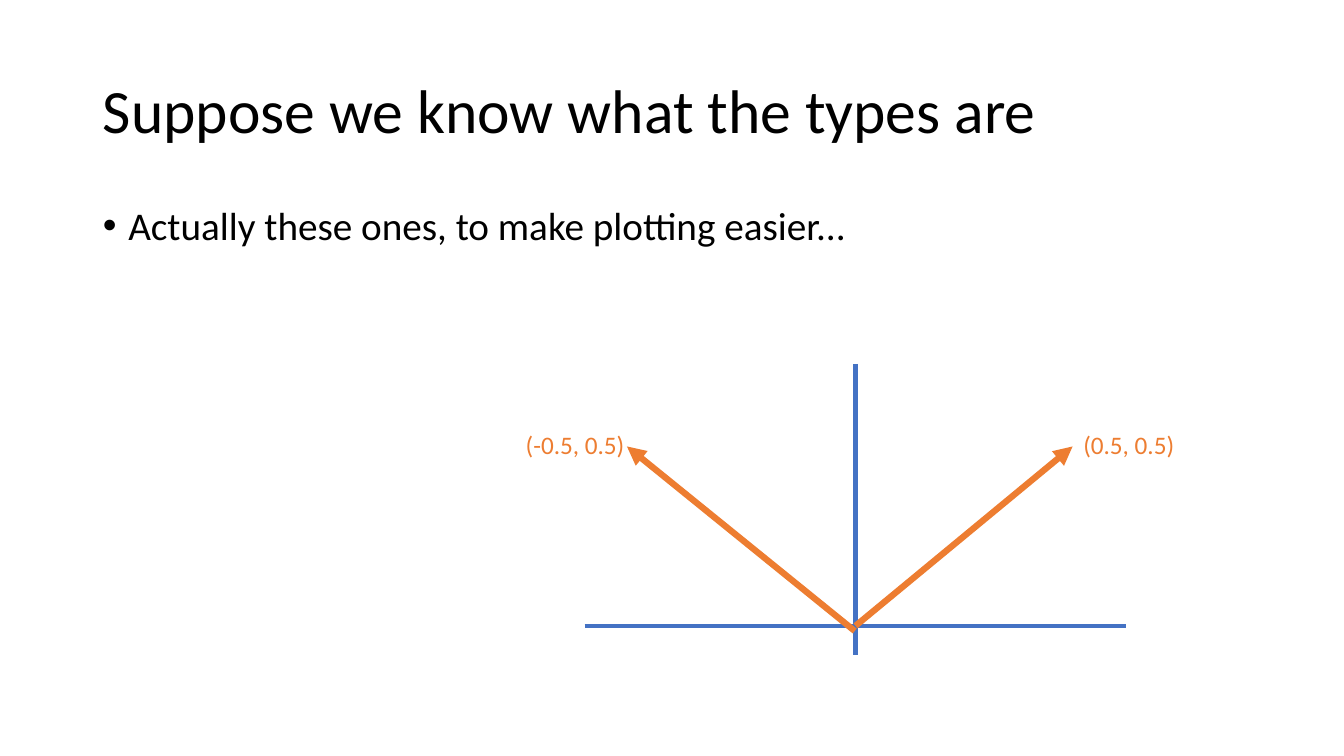
from dataclasses import dataclass

from lxml import etree
from pptx import Presentation
from pptx.dml.color import RGBColor
from pptx.enum.shapes import MSO_CONNECTOR
from pptx.enum.text import MSO_ANCHOR, MSO_AUTO_SIZE, PP_ALIGN
from pptx.oxml.ns import qn
from pptx.util import Cm, Pt

# Content: lengths in cm
HEADING = "Suppose we know what the types are"
POINT = "Actually these ones, to make plotting easier..."
HEADING_BOX = (2.34, 1.02, 29.21, 3.68)
POINT_BOX = (2.34, 5.08, 29.21, 12.09)
AXES = [  # start, end
    ((21.56, 9.17), (21.56, 16.51)),
    ((14.73, 15.77), (28.37, 15.77)),
]
VECTORS = [  # label, label left, start, tip
    ("(0.5, 0.5)", 27.05, (21.56, 15.77), (27.03, 11.25)),
    ("(-0.5, 0.5)", 13.0, (21.54, 15.9), (15.8, 11.25)),
]
LABEL_TOP, LABEL_WIDTH, LABEL_HEIGHT = 10.69, 3.53, 1.02


@dataclass(frozen=True)
class Theme:
    font: str = "Calibri"
    text: RGBColor = RGBColor(0x00, 0x00, 0x00)
    axis: RGBColor = RGBColor(0x44, 0x72, 0xC4)
    vector: RGBColor = RGBColor(0xED, 0x7D, 0x31)
    heading_size: float = 44
    point_size: float = 28
    label_size: float = 18
    axis_width: float = 3
    vector_width: float = 4.5


THEME = Theme()


def write(shape, text, size, color, line_spacing=1.0):
    frame = shape.text_frame
    frame.text = text
    frame.word_wrap = True
    frame.auto_size = MSO_AUTO_SIZE.NONE
    paragraph = frame.paragraphs[0]
    paragraph.alignment = PP_ALIGN.LEFT
    paragraph.line_spacing = line_spacing
    paragraph.space_before = Pt(0)
    font = paragraph.runs[0].font
    font.name, font.size, font.color.rgb = THEME.font, Pt(size), color
    return paragraph


def place(shape, box):
    shape.left, shape.top, shape.width, shape.height = map(Cm, box)


def add_bullet(paragraph):
    properties = paragraph._p.get_or_add_pPr()
    properties.set("marL", str(Cm(0.64)))
    properties.set("indent", str(Cm(-0.64)))
    etree.SubElement(properties, qn("a:buFont")).set("typeface", "Arial")
    etree.SubElement(properties, qn("a:buChar")).set("char", "•")


def draw_line(slide, start, end, color, width, arrow=False):
    line = slide.shapes.add_connector(MSO_CONNECTOR.STRAIGHT, *map(Cm, start + end))
    line.line.color.rgb = color
    line.line.width = Pt(width)
    if arrow:
        outline = line.line._get_or_add_ln()
        etree.SubElement(outline, qn("a:tailEnd")).set("type", "triangle")
    etree.SubElement(line._element.spPr, qn("a:effectLst"))


def main():
    presentation = Presentation()
    presentation.slide_width, presentation.slide_height = Cm(33.87), Cm(19.05)
    slide = presentation.slides.add_slide(presentation.slide_layouts[1])

    # Title and list
    heading, point = slide.shapes.title, slide.placeholders[1]
    place(heading, HEADING_BOX)
    write(heading, HEADING, THEME.heading_size, THEME.text, 0.9)
    heading.text_frame.vertical_anchor = MSO_ANCHOR.MIDDLE
    place(point, POINT_BOX)
    add_bullet(write(point, POINT, THEME.point_size, THEME.text, 0.9))

    # Axes
    for start, end in AXES:
        draw_line(slide, start, end, THEME.axis, THEME.axis_width)

    # Vectors
    for _, _, start, tip in VECTORS:
        draw_line(slide, start, tip, THEME.vector, THEME.vector_width, arrow=True)

    # Vector labels
    for text, left, _, _ in VECTORS:
        box = map(Cm, (left, LABEL_TOP, LABEL_WIDTH, LABEL_HEIGHT))
        label = slide.shapes.add_textbox(*box)
        write(label, text, THEME.label_size, THEME.vector)

    presentation.save("out.pptx")


if __name__ == "__main__":
    main()
